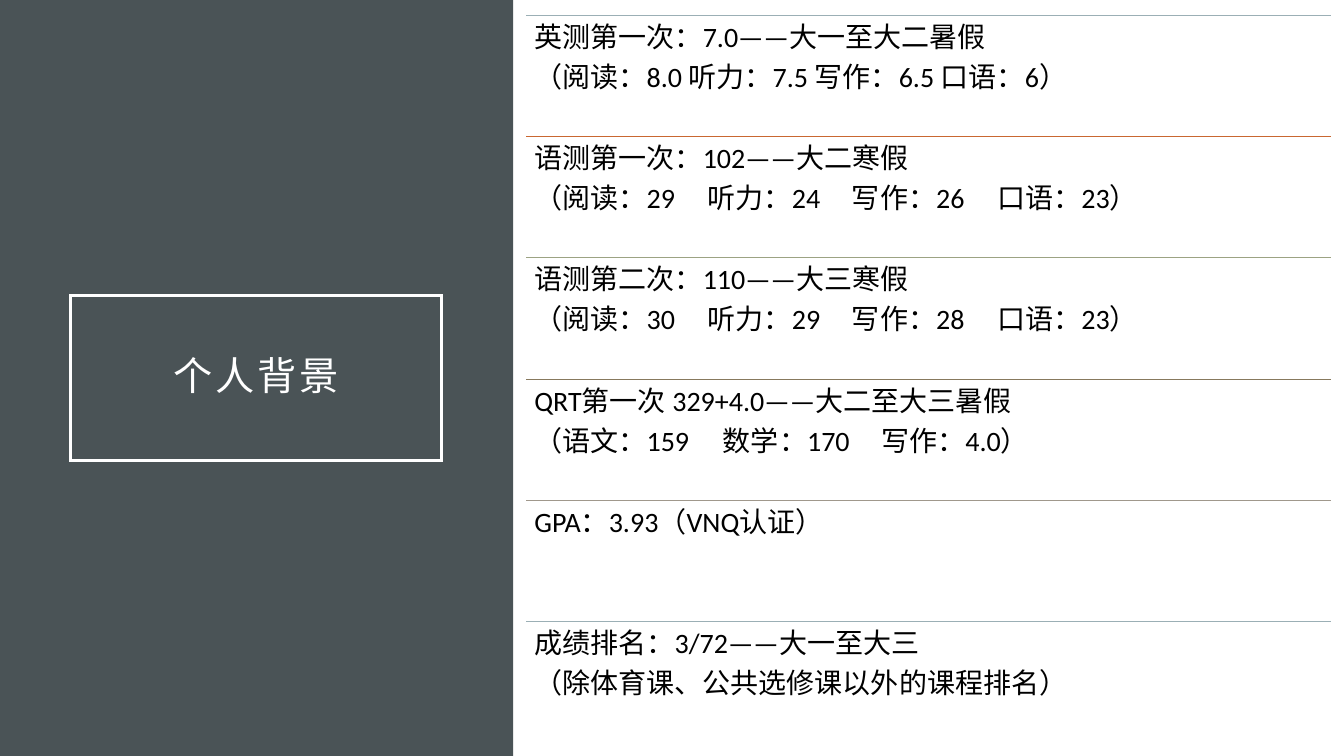
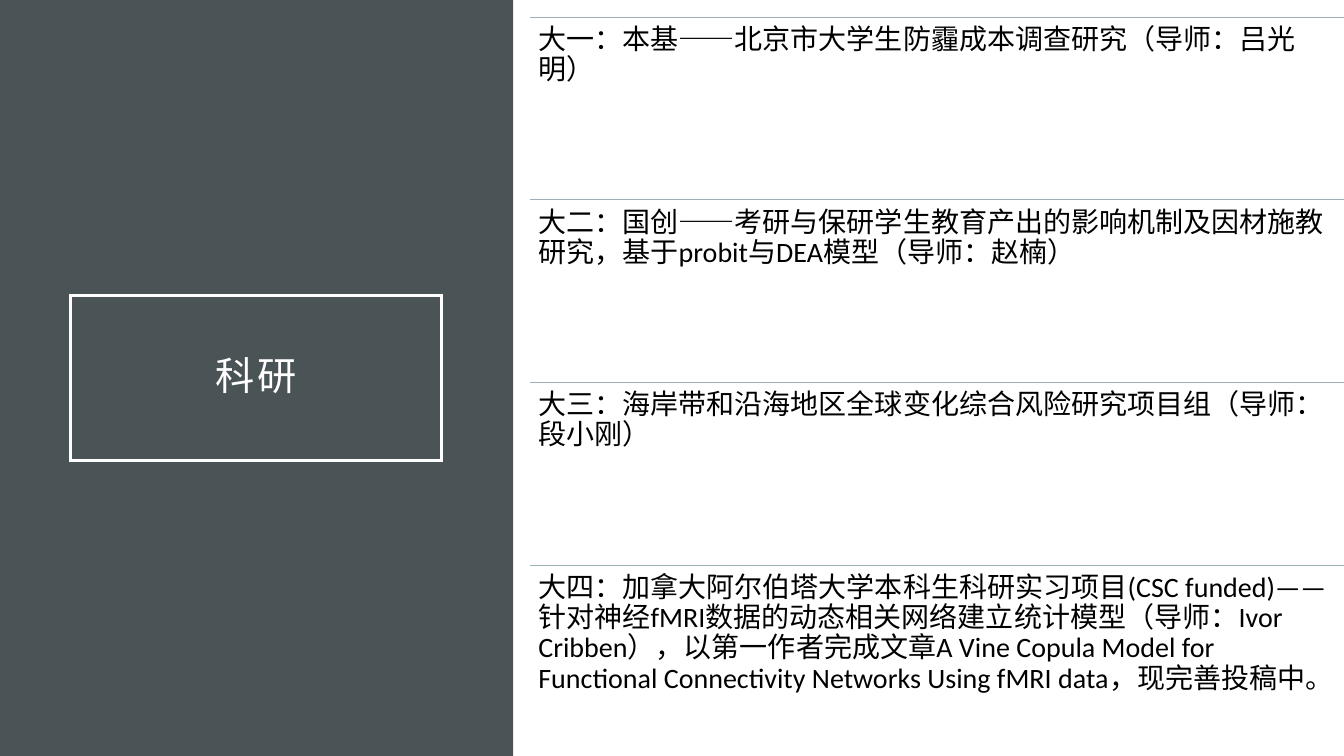
"""Build two slides: personal background and research experience."""
from lxml import etree
from pptx import Presentation
from pptx.dml.color import RGBColor
from pptx.enum.shapes import MSO_CONNECTOR, MSO_SHAPE
from pptx.enum.text import MSO_ANCHOR, MSO_AUTO_SIZE, PP_ALIGN
from pptx.oxml.ns import qn
from pptx.util import Inches, Pt

STRAIGHT = MSO_CONNECTOR.STRAIGHT
RECTANGLE = MSO_SHAPE.RECTANGLE
MIDDLE = MSO_ANCHOR.MIDDLE
NO_AUTOFIT = MSO_AUTO_SIZE.NONE
CENTER = PP_ALIGN.CENTER
LEFT = PP_ALIGN.LEFT

SLATE = RGBColor(0x4A, 0x53, 0x56)
WHITE = RGBColor(0xFF, 0xFF, 0xFF)
BLACK = RGBColor(0x00, 0x00, 0x00)
MIST = RGBColor(0x9B, 0xAF, 0xB5)
ORANGE = RGBColor(0xC9, 0x67, 0x31)
SAGE = RGBColor(0x9C, 0xA3, 0x83)
BROWN = RGBColor(0x87, 0x79, 0x5D)
TAUPE = RGBColor(0xA0, 0x98, 0x8C)
FONT = "Calibri"

BACKGROUND_ROWS = [
    (MIST, ["英测第一次：7.0——大一至大二暑假",
            "（阅读：8.0 听力：7.5 写作：6.5 口语：6）"]),
    (ORANGE, ["语测第一次：102——大二寒假",
              "（阅读：29\t听力：24\t写作：26\t口语：23）"]),
    (SAGE, ["语测第二次：110——大三寒假",
            "（阅读：30\t听力：29\t写作：28\t口语：23）"]),
    (BROWN, ["QRT第一次 329+4.0——大二至大三暑假",
             "（语文：159\t数学：170\t写作：4.0）"]),
    (TAUPE, ["GPA：3.93（VNQ认证）"]),
    (MIST, ["成绩排名：3/72——大一至大三",
            "（除体育课、公共选修课以外的课程排名）"]),
]
RESEARCH_ROWS = [
    (MIST, ["大一：本基——北京市大学生防霾成本调查研究（导师：吕光明）"]),
    (MIST, ["大二：国创——考研与保研学生教育产出的影响机制及因材施教研究，"
            "基于probit与DEA模型（导师：赵楠）"]),
    (MIST, ["大三：海岸带和沿海地区全球变化综合风险研究项目组（导师：段小刚）"]),
    (MIST, ["大四：加拿大阿尔伯塔大学本科生科研实习项目(CSC funded)——"
            "针对神经fMRI数据的动态相关网络建立统计模型（导师：Ivor Cribben），"
            "以第一作者完成文章A Vine Copula Model for Functional Connectivity "
            "Networks Using fMRI data，现完善投稿中。"]),
]
SLIDES = [
    ("个人背景", BACKGROUND_ROWS, 5.22, 0.15, 7.98, 7.22),
    ("科研", RESEARCH_ROWS, 5.26, 0.17, 8.07, 7.25),
]
SCORE_TABS = {3: (1.72, 3.15, 4.59), 2: (1.87, 3.44)}


def set_margins(text_frame, margin):
    text_frame.margin_left = text_frame.margin_right = Inches(margin)
    text_frame.margin_top = text_frame.margin_bottom = Inches(margin)
    text_frame.word_wrap = True
    text_frame.auto_size = NO_AUTOFIT


def style_paragraph(paragraph, size, color, alignment):
    paragraph.alignment = alignment
    paragraph.line_spacing = 0.9
    paragraph.font.name = FONT
    paragraph.font.size = Pt(size)
    paragraph.font.color.rgb = color


presentation = Presentation()
presentation.slide_width = Inches(13.33)
presentation.slide_height = Inches(7.5)
title_only = presentation.slide_layouts[5]

for heading, rows, left, top, width, height in SLIDES:
    slide = presentation.slides.add_slide(title_only)

    side_panel = slide.shapes.add_shape(
        RECTANGLE, 0, 0, Inches(5.09), presentation.slide_height)
    side_panel.shadow.inherit = False
    side_panel.fill.solid()
    side_panel.fill.fore_color.rgb = SLATE
    side_panel.line.fill.background()

    title = slide.shapes.title
    side_panel._element.addnext(title._element)
    title.left, title.top = Inches(0.7), Inches(2.93)
    title.width, title.height = Inches(3.68), Inches(1.64)
    title.line.color.rgb = WHITE
    title.line.width = Pt(2.5)
    etree.SubElement(title.line._get_or_add_ln(), qn("a:miter"), lim="800000")
    title.text_frame.text = heading
    title.text_frame.vertical_anchor = MIDDLE
    set_margins(title.text_frame, 0.2)
    title_paragraph = title.text_frame.paragraphs[0]
    style_paragraph(title_paragraph, 28, WHITE, CENTER)
    title_paragraph.runs[0]._r.get_or_add_rPr().set("spc", "200")

    row_height = height / len(rows)
    for index, (line_color, texts) in enumerate(rows):
        row_top = Inches(top + index * row_height)
        divider = slide.shapes.add_connector(
            STRAIGHT, Inches(left), row_top, Inches(left + width), row_top)
        divider.line.color.rgb = line_color
        divider.line.width = Pt(0.5)
        etree.SubElement(divider._element.spPr, qn("a:effectLst"))

        text_box = slide.shapes.add_textbox(
            Inches(left), row_top, Inches(width), Inches(row_height))
        text_frame = text_box.text_frame
        set_margins(text_frame, 0.08)
        text_frame.text = "\n".join(texts)
        for paragraph in text_frame.paragraphs:
            paragraph.space_after = Pt(7)
            style_paragraph(paragraph, 20, BLACK, LEFT)
            tab_stops = SCORE_TABS.get(paragraph.text.count("\t"))
            if tab_stops:
                tab_list = etree.Element(qn("a:tabLst"))
                for position in tab_stops:
                    etree.SubElement(tab_list, qn("a:tab"),
                                     pos=str(Inches(position)), algn="l")
                paragraph._p.pPr.find(qn("a:defRPr")).addprevious(tab_list)

presentation.save("out.pptx")
